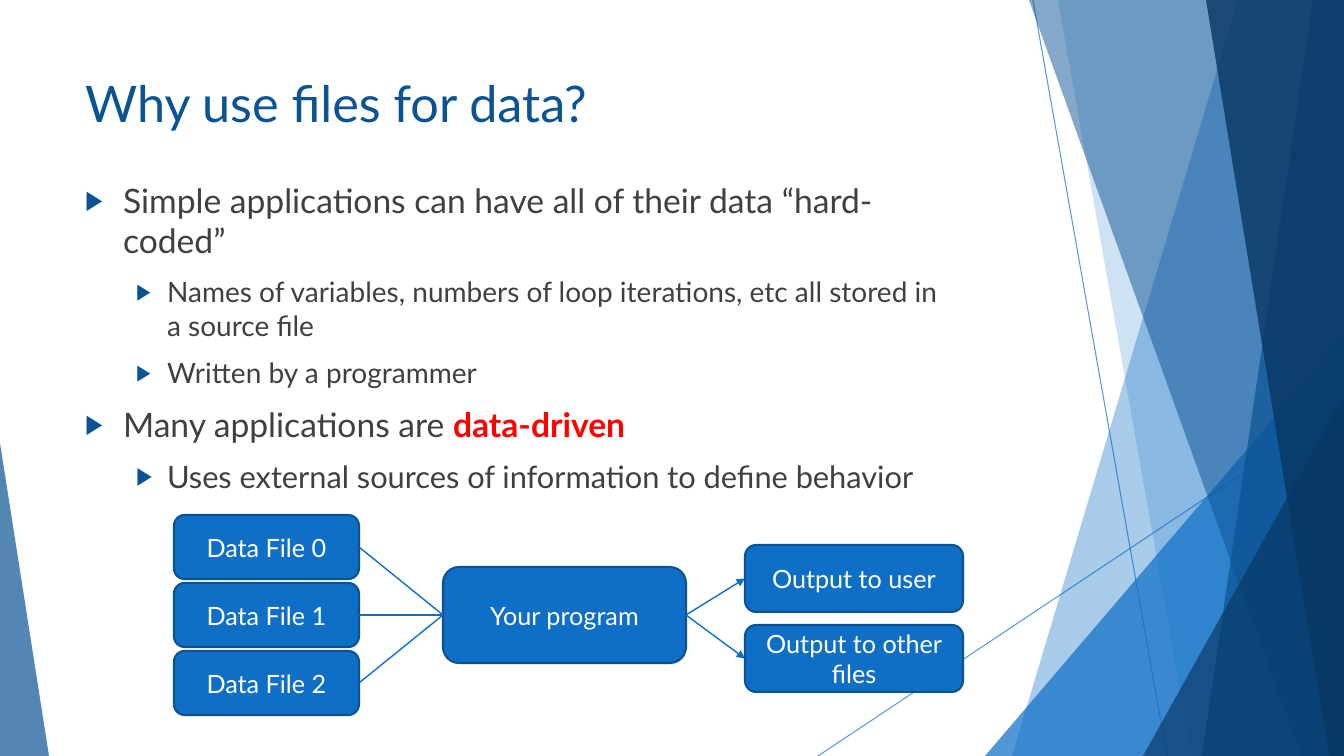
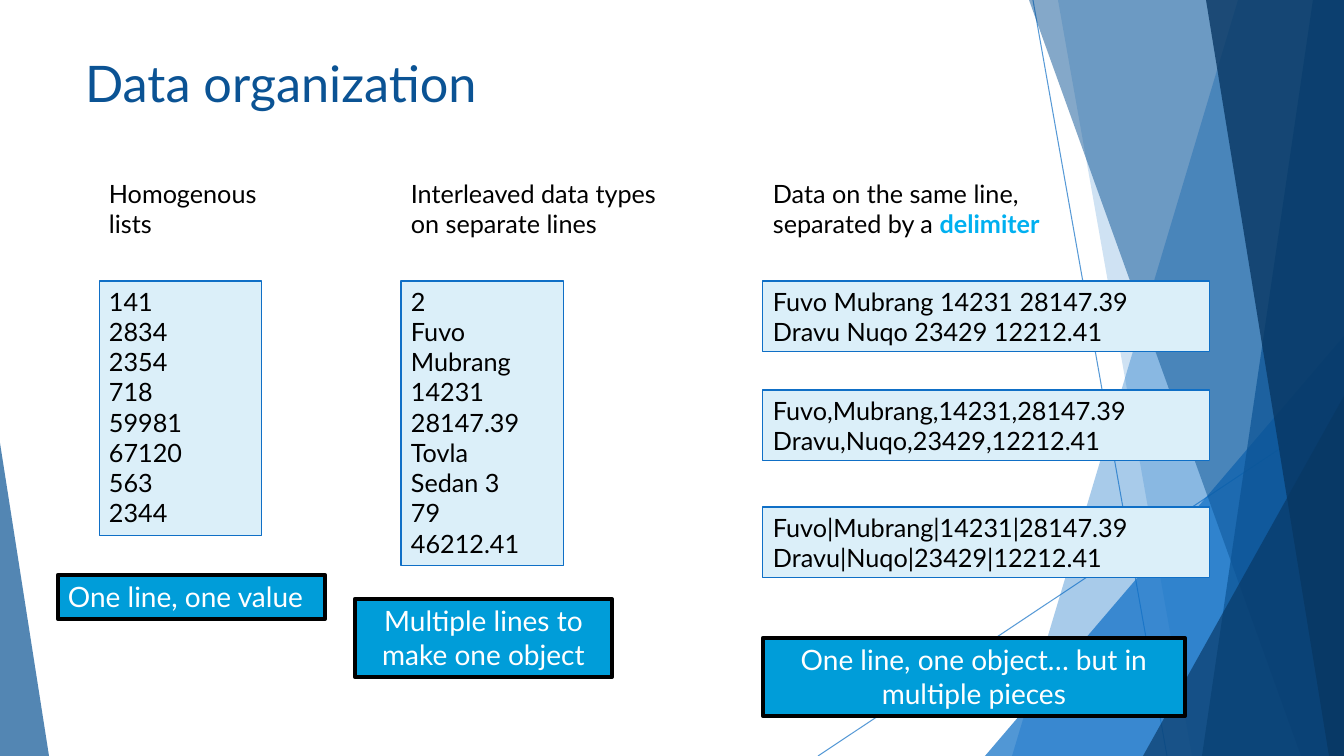
import lxml.etree
import pptx
import pptx.dml.color
import pptx.enum.shapes
import pptx.enum.text
import pptx.oxml.ns
import pptx.util

PIXEL = 9071  # EMU in one pixel at 100.8 pixels to the inch
WIDTH, HEIGHT = 1344, 756
FONT = "Lato"
COLOURS = {
    name: pptx.dml.color.RGBColor.from_string(value)
    for name, value in {
        "blue": "0F6FC6", "title": "0B5394", "navy": "083763", "edge": "0B5292",
        "text": "404040", "black": "000000", "white": "FFFFFF", "red": "FF0000",
        "pale": "DBEFF9", "cyan": "009DD9", "sky": "00B0F0",
    }.items()
}
SHAPES = pptx.enum.shapes.MSO_SHAPE
ALIGN = pptx.enum.text.PP_ALIGN
ANCHOR = pptx.enum.text.MSO_ANCHOR
qn = pptx.oxml.ns.qn


def add_line(page, start, end, width):
    """Draw a straight blue line without a shadow between two pixel points."""
    ends = [PIXEL * value for value in (*start, *end)]
    line = page.shapes.add_connector(pptx.enum.shapes.MSO_CONNECTOR.STRAIGHT, *ends)
    line.line.color.rgb = COLOURS["blue"]
    line.line.width = pptx.util.Pt(width)
    lxml.etree.SubElement(line.element.spPr, qn("a:effectLst"))
    return line


def add_box(page, area, lines, size=18, colour="black", fill=None, edge=None,
            edge_width=0.75, kind=SHAPES.RECTANGLE, align=ALIGN.LEFT, anchor=ANCHOR.TOP):
    """Add a filled shape, or a plain text box when no fill is given."""
    area = [PIXEL * value for value in area]
    if fill:
        box = page.shapes.add_shape(kind, *area)
        box.shadow.inherit = False
        box.fill.solid()
        box.fill.fore_color.rgb = COLOURS[fill]
        box.line.color.rgb = COLOURS[edge]
        box.line.width = pptx.util.Pt(edge_width)
    else:
        box = page.shapes.add_textbox(*area)
    frame = box.text_frame
    frame.word_wrap = True
    frame.vertical_anchor = anchor
    frame.text = "\n".join(lines)
    for para in frame.paragraphs:
        para.alignment = align
        para.font.name = FONT
        para.font.size = pptx.util.Pt(size)
        para.font.color.rgb = COLOURS[colour]
    return box


deck = pptx.Presentation()
deck.slide_width = PIXEL * WIDTH
deck.slide_height = PIXEL * HEIGHT

# Pages with their titles: layout, title, top, height
pages = []
for layout, heading, top, height in [
    (1, "Why use files for data?", 67, 79),
    (5, "Data organization", 47, 83),
]:
    page = deck.slides.add_slide(deck.slide_layouts[layout])
    title = page.shapes.title
    title.left, title.top = PIXEL * 75, PIXEL * top
    title.width, title.height = PIXEL * 948, PIXEL * height
    frame = title.text_frame
    frame.text = heading
    frame.vertical_anchor = ANCHOR.TOP
    frame.auto_size = pptx.enum.text.MSO_AUTO_SIZE.NONE
    para = frame.paragraphs[0]
    para.alignment = ALIGN.LEFT
    para.font.name = FONT
    para.font.size = pptx.util.Pt(36)
    para.font.color.rgb = COLOURS["title"]
    pages.append(page)
files_page, layout_page = pages

# Shared facets: slabs reach the top right corner, wedges are right triangles
facets = [
    (add_line(files_page, (1033, 0), (1167, HEIGHT), 0.75), 70),
    (add_line(files_page, (WIDTH, 406), (818, HEIGHT), 0.75), 70),
]
for peak_x, peak_y, foot_x, colour, opacity in [
    (1238, 0, 1012, "blue", 36),
    (1058, 0, 1192, "blue", 20),
    (WIDTH, 336, 985, "blue", 72),
    (1029, 0, 1301, "title", 50),
    (1313, 0, 1202, "title", 70),
    (1206, 0, 1329, "navy", 80),
    (WIDTH, 396, 1143, "navy", 66),
    (0, 443, 49, "title", 70),
]:
    if peak_y == 0:
        outline = files_page.shapes.build_freeform(peak_x, 0, scale=PIXEL)
        outline.add_line_segments([(WIDTH, 0), (WIDTH, HEIGHT), (foot_x, HEIGHT)])
        facet = outline.convert_to_shape()
    else:
        facet = files_page.shapes.add_shape(
            SHAPES.ISOSCELES_TRIANGLE, PIXEL * min(peak_x, foot_x), PIXEL * peak_y,
            PIXEL * abs(peak_x - foot_x), PIXEL * (HEIGHT - peak_y))
        facet.adjustments[0] = 1 if peak_x > foot_x else 0
    facet.shadow.inherit = False
    facet.fill.solid()
    facet.fill.fore_color.rgb = COLOURS[colour]
    facet.line.fill.background()
    facets.append((facet, opacity))

# Fade the facets and move them to the master, behind its placeholders
for index, (facet, opacity) in enumerate(facets):
    tint = facet.element.find(".//" + qn("a:srgbClr"))
    lxml.etree.SubElement(tint, qn("a:alpha"), val=str(opacity * 1000))
    facet.element.find(".//" + qn("p:cNvPr")).set("id", str(100 + index))
    deck.slide_master.shapes.element.insert(2 + index, facet.element)

# Why use files: bullet list of level, size and runs
body = files_page.placeholders[1]
body.left, body.top = PIXEL * 75, PIXEL * 175
body.width, body.height = PIXEL * 888, PIXEL * 491
frame = body.text_frame
frame.auto_size = pptx.enum.text.MSO_AUTO_SIZE.NONE
frame.vertical_anchor = ANCHOR.TOP
bullets = [
    (0, 24, ["Simple applications can have all of their data “hard-coded”"]),
    (1, 20, ["Names of variables, numbers of loop iterations, etc all stored in a source file"]),
    (1, 20, ["Written by a programmer"]),
    (0, 24, ["Many applications are ", "data-driven"]),
    (1, 22, ["Uses external sources of information to define behavior"]),
]
for index, (level, size, texts) in enumerate(bullets):
    para = frame.add_paragraph() if index else frame.paragraphs[0]
    para.level = level
    para.space_before = pptx.util.Pt(10)
    margin, hanging = [(38, 38), (82, 31)][level]
    props = para._p.get_or_add_pPr()
    props.set("marL", str(PIXEL * margin))
    props.set("indent", str(-PIXEL * hanging))
    bullet_colour = lxml.etree.SubElement(props, qn("a:buClr"))
    lxml.etree.SubElement(bullet_colour, qn("a:srgbClr"), val=str(COLOURS["title"]))
    lxml.etree.SubElement(props, qn("a:buSzPct"), val="80000")
    lxml.etree.SubElement(props, qn("a:buFont"), typeface="Arial")
    lxml.etree.SubElement(props, qn("a:buChar"), char="▶")
    para.font.name = FONT
    para.font.size = pptx.util.Pt(size)
    para.font.color.rgb = COLOURS["text"]
    for text in texts:
        span = para.add_run()
        span.text = text
        if text == "data-driven":
            span.font.bold = True
            span.font.color.rgb = COLOURS["red"]

# Why use files: flow from data files through the program to its outputs
node = dict(colour="white", fill="blue", edge="edge", edge_width=1.5,
            kind=SHAPES.ROUNDED_RECTANGLE, align=ALIGN.CENTER, anchor=ANCHOR.MIDDLE)
LEFT_SITE, RIGHT_SITE = 1, 3
program = add_box(files_page, (443, 567, 243, 96), ["Your program"], **node)
for index in range(3):
    top = 515 + 68 * index
    source = add_box(files_page, (174, top, 185, 64), [f"Data File {index}"], **node)
    link = add_line(files_page, (359, top + 32), (443, 615), 1)
    link.begin_connect(source, RIGHT_SITE)
    link.end_connect(program, LEFT_SITE)
for index, text in enumerate(["Output to user", "Output to other files"]):
    top = 545 + 80 * index
    output = add_box(files_page, (745, top, 218, 67), [text], **node)
    link = add_line(files_page, (686, 615), (745, top + 33), 1)
    link.begin_connect(program, RIGHT_SITE)
    link.end_connect(output, LEFT_SITE)
    lxml.etree.SubElement(link.line._get_or_add_ln(), qn("a:tailEnd"), type="triangle")

# Data organization: column headings
COLUMNS = [99, 401, 763]
headings = [
    (210, "Homogenous lists"),
    (276, "Interleaved data types on separate lines"),
    (305, "Data on the same line, separated by a "),
]
for left, (width, text) in zip(COLUMNS, headings):
    heading_box = add_box(layout_page, (left, 173, width, 72), [text])
span = heading_box.text_frame.paragraphs[0].add_run()
span.text = "delimiter"
span.font.bold = True
span.font.color.rgb = COLOURS["sky"]

# Data organization: sample files
numbers = ["141", "2834", "2354", "718", "59981", "67120", "563", "2344"]
records = [["Fuvo", "Mubrang", "14231", "28147.39"], ["Dravu", "Nuqo", "23429", "12212.41"]]
interleaved = ["2", *records[0], "Tovla", "Sedan 3", "79", "46212.41"]
samples = [
    ((COLUMNS[0], 281, 163, 255), numbers),
    ((COLUMNS[1], 281, 163, 285), interleaved),
]
for top, delimiter in [(281, " "), (390, ","), (507, "|")]:
    samples.append(((COLUMNS[2], top, 447, 71), [delimiter.join(record) for record in records]))
for area, lines in samples:
    add_box(layout_page, area, lines, fill="pale", edge="blue")

# Data organization: callouts
for area, text, align in [
    ((58, 575, 267, 44), "One line, one value", ALIGN.LEFT),
    ((355, 599, 257, 78), "Multiple lines to make one object", ALIGN.CENTER),
    ((763, 638, 422, 78), "One line, one object… but in multiple pieces", ALIGN.CENTER),
]:
    add_box(layout_page, area, [text], size=20, colour="white", fill="cyan",
            edge="black", edge_width=3, align=align)

deck.save("out.pptx")
